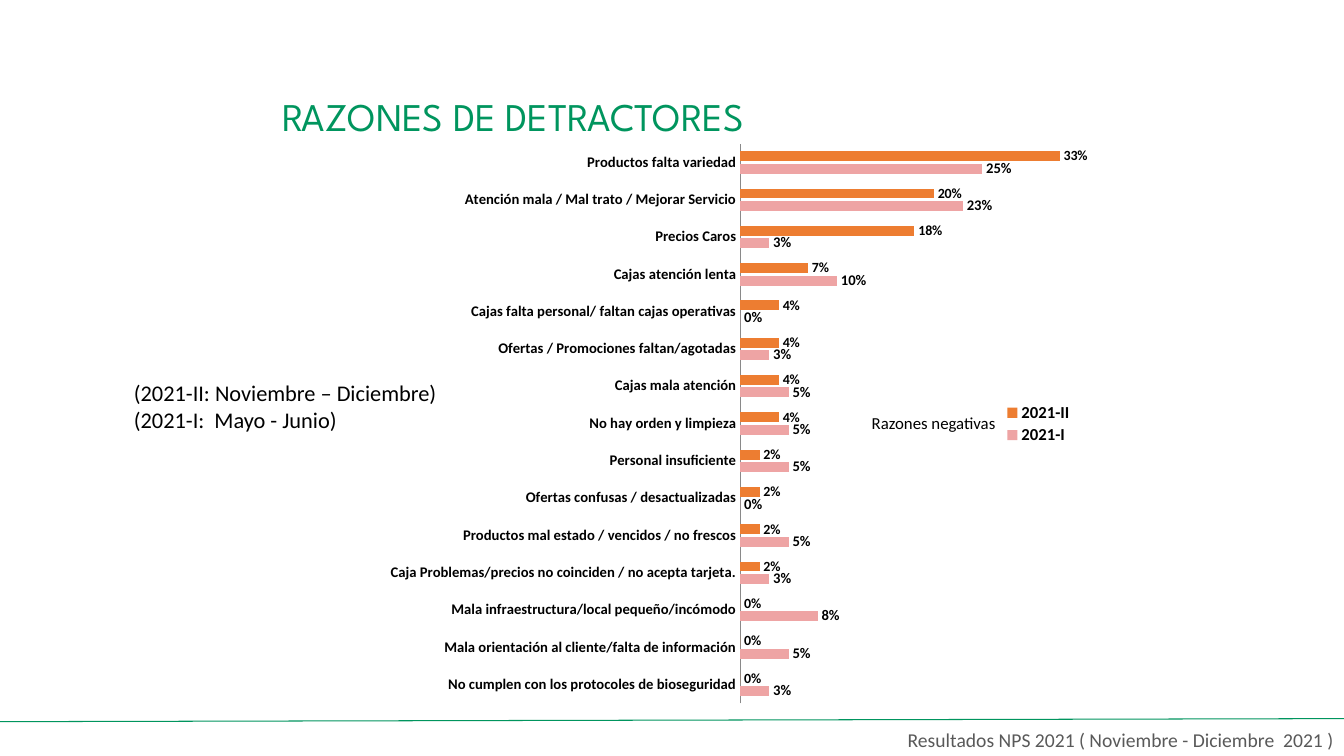
from lxml import etree
from pptx import Presentation
from pptx.chart.data import CategoryChartData
from pptx.dml.color import RGBColor
from pptx.enum.chart import (XL_CHART_TYPE as Chart, XL_LABEL_POSITION as LabelPos,
                             XL_LEGEND_POSITION as LegendPos, XL_TICK_MARK as Tick)
from pptx.enum.shapes import MSO_CONNECTOR as Connector, MSO_SHAPE as Shape
from pptx.enum.text import MSO_ANCHOR as Anchor, PP_ALIGN as Align
from pptx.oxml.ns import qn
from pptx.util import Pt

GREEN = RGBColor(0x00, 0x95, 0x5E)
ORANGE = RGBColor(0xED, 0x7D, 0x31)
PINK = RGBColor(0xEE, 0xA4, 0xA4)
GREY = RGBColor(0x59, 0x59, 0x59)
AXIS_GREY = RGBColor(0x89, 0x89, 0x89)
BLACK = RGBColor(0, 0, 0)
WHITE = RGBColor(0xFF, 0xFF, 0xFF)

WIDTH, HEIGHT = 960, 540
BODY = "Calibri"

# Reason, 2021-I, 2021-II, listed from the bottom of the chart upwards
REASONS = [
    ("No cumplen con los protocoles de bioseguridad", 0.03, 0),
    ("Mala orientación al cliente/falta de información", 0.05, 0),
    ("Mala infraestructura/local pequeño/incómodo", 0.08, 0),
    ("Caja Problemas/precios no coinciden / no acepta tarjeta.", 0.03, 0.02),
    ("Productos mal estado / vencidos / no frescos", 0.05, 0.02),
    ("Ofertas confusas / desactualizadas", 0, 0.02),
    ("Personal insuficiente", 0.05, 0.02),
    ("No hay orden y limpieza", 0.05, 0.04),
    ("Cajas mala atención", 0.05, 0.04),
    ("Ofertas / Promociones faltan/agotadas", 0.03, 0.04),
    ("Cajas falta personal/ faltan cajas operativas", 0, 0.04),
    ("Cajas atención lenta", 0.1, 0.07),
    ("Precios Caros", 0.03, 0.18),
    ("Atención mala / Mal trato / Mejorar Servicio", 0.23, 0.2),
    ("Productos falta variedad", 0.25, 0.33),
]


def set_font(font, color=BLACK, **values):
    """Set the colour and any other attributes of a font."""
    for name, value in {"name": BODY, **values}.items():
        setattr(font, name, value)
    font.color.rgb = color


def write(sp, lines, size, color=BLACK, name=BODY, align=Align.LEFT, wrap=True,
          anchor=Anchor.TOP):
    """Fill a shape with one paragraph per line."""
    tf = sp.text_frame
    tf.word_wrap, tf.vertical_anchor = wrap, anchor
    tf.text = "\n".join(lines)
    for p in tf.paragraphs:
        p.alignment = align
        for r in p.runs:
            set_font(r.font, color, name=name, size=Pt(size))


def place_part(parent, index, box, inner=False):
    """Give a chart part a manual layout, as fractions of the chart."""
    for old in parent.findall(qn("c:layout")):
        parent.remove(old)
    layout = etree.Element(qn("c:layout"))
    manual = etree.SubElement(layout, qn("c:manualLayout"))
    values = {"layoutTarget": "inner"} if inner else {}
    values.update(xMode="edge", yMode="edge", **dict(zip("xywh", box)))
    for tag, value in values.items():
        etree.SubElement(manual, qn(f"c:{tag}")).set("val", str(value))
    parent.insert(index, layout)


def add_title(s, box):
    """Move the title placeholder to its box and write it above the chart."""
    sp = s.shapes.title
    sp.left, sp.top, sp.width, sp.height = map(Pt, box)
    write(sp, ["RAZONES DE DETRACTORES"], 28, GREEN, "League Spartan")
    s.shapes._spTree.append(sp._element)


def add_note(s, box, lines, size, wrap=True):
    """Add a plain text box."""
    write(s.shapes.add_textbox(*map(Pt, box)), lines, size, wrap=wrap)


def add_reasons_chart(s, box):
    """Add the clustered bars comparing both survey waves."""
    names, first, second = zip(*REASONS)
    data = CategoryChartData(number_format="0%")
    data.categories = names
    data.add_series("2021-I", first)
    data.add_series("2021-II", second)
    chart = s.shapes.add_chart(Chart.BAR_CLUSTERED, *map(Pt, box), data).chart
    chart.has_title = False
    set_font(chart.font, size=Pt(10))

    plot = chart.plots[0]
    plot.gap_width, plot.overlap, plot.vary_by_categories = 150, -25, False
    for series, color, size in zip(plot.series, (PINK, ORANGE), (10.5, 10)):
        series.format.fill.solid()
        series.format.fill.fore_color.rgb = color
        labels = series.data_labels
        for name, value in {"show_value": True, "number_format": "0%",
                            "number_format_is_linked": False,
                            "position": LabelPos.OUTSIDE_END}.items():
            setattr(labels, name, value)
        set_font(labels.font, size=Pt(size), bold=True)

    axis = chart.category_axis
    axis.major_tick_mark = axis.minor_tick_mark = Tick.NONE
    axis.format.line.color.rgb = AXIS_GREY
    set_font(axis.tick_labels.font, size=Pt(10.5), bold=True)
    for name, value in {"visible": False, "has_major_gridlines": False,
                        "minimum_scale": 0, "maximum_scale": 0.35}.items():
        setattr(chart.value_axis, name, value)

    chart.has_legend = True
    legend = chart.legend
    legend.position, legend.include_in_layout = LegendPos.RIGHT, False
    set_font(legend.font, size=Pt(12), bold=True)
    place_part(legend._element, 1, (0.88, 0.46, 0.11, 0.08))
    place_part(plot._element.getparent(), 0, (0.516, 0.025, 0.476, 0.949), inner=True)


def add_footer(s, box):
    """Add the footer band with the thin sloping rule above it."""
    left, top, width, height = box
    sp = s.shapes.add_shape(Shape.RECTANGLE, *map(Pt, box))
    sp.shadow.inherit = False
    sp.fill.solid()
    sp.fill.fore_color.rgb = WHITE
    sp.line.fill.background()
    write(sp, ["Resultados NPS 2021 ( Noviembre - Diciembre  2021 )"], 14, GREY,
          align=Align.RIGHT, anchor=Anchor.MIDDLE)
    rule = s.shapes.add_connector(Connector.STRAIGHT, Pt(left + width), Pt(top - 2.9),
                                  Pt(left), Pt(top - 0.7))
    rule.line.color.rgb, rule.line.width = GREEN, Pt(0.75)
    etree.SubElement(rule._element.spPr, qn("a:effectLst"))


def build_detractors_slide(prs):
    """Build the slide on the reasons given by detractors."""
    s = prs.slides.add_slide(prs.slide_layouts[5])
    add_reasons_chart(s, (266.4, 92.2, 510.5, 421.2))
    add_title(s, (194.4, 62, 582.5, 41))
    add_note(s, (615.6, 291.6, 103.7, 21.6), ["Razones negativas"], 12, wrap=False)
    add_footer(s, (0, 516.2, WIDTH, 24.5))
    add_note(s, (88.6, 267.1, 234.7, 46),
             ["(2021-II: Noviembre – Diciembre)", "(2021-I:  Mayo - Junio)"], 16)


prs = Presentation()
prs.slide_width, prs.slide_height = Pt(WIDTH), Pt(HEIGHT)
build_detractors_slide(prs)
prs.save("out.pptx")
